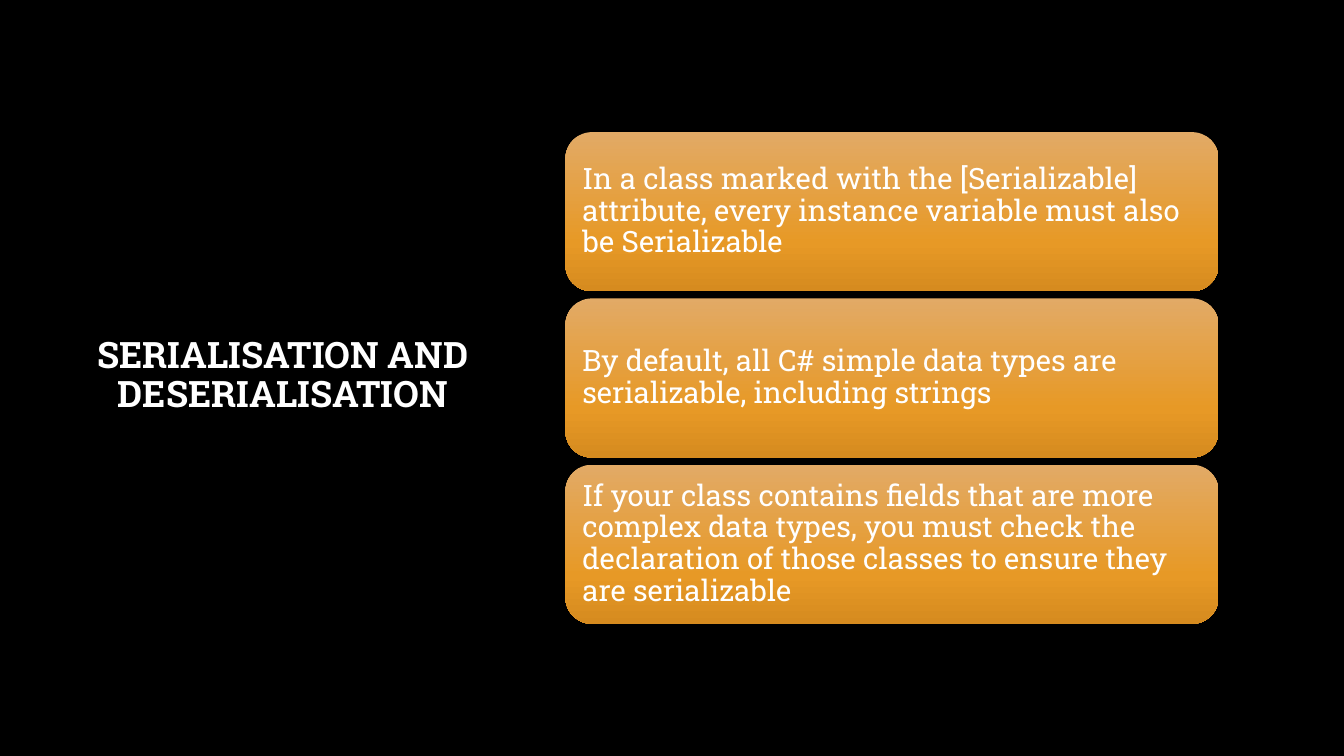
import copy

import pptx
import pptx.dml.color
import pptx.enum.shapes
import pptx.enum.text
import pptx.oxml.ns
import pptx.util

Cm = pptx.util.Cm
COLORS = {
    "background": "000000",
    "text": "FFFFFF",
    "card_top": "E2AA66",
    "card_middle": "E79926",
    "card_bottom": "D68B1F",
}
CARD_GRADIENT = [(0, "card_top"), (0.69, "card_middle"), (1, "card_bottom")]
TITLE = "SERIALISATION AND DESERIALISATION"
RULES = [
    "In a class marked with the [Serializable] attribute, "
    "every instance variable must also be Serializable",
    "By default, all C# simple data types are serializable, including strings",
    "If your class contains fields that are more complex data types, you must check "
    "the declaration of those classes to ensure they are serializable",
]
CARD_LEFT, CARD_TOP, CARD_WIDTH, CARD_HEIGHT = 14.25, 3.33, 16.46, 4.01
CARD_PITCH = 4.19


def color(name):
    return pptx.dml.color.RGBColor.from_string(COLORS[name])


class SlideBuilder:
    font_name = "Roboto Slab"
    line_spacing = 0.9
    inset = Cm(0.23)

    def __init__(self, presentation):
        self.slide = presentation.slides.add_slide(presentation.slide_layouts[6])
        background = self.slide.background.fill
        background.solid()
        background.fore_color.rgb = color("background")

    def set_text(self, shape, text, size, alignment, bold=False):
        frame = shape.text_frame
        frame_format = {
            "word_wrap": True,
            "vertical_anchor": pptx.enum.text.MSO_ANCHOR.MIDDLE,
            "margin_left": self.inset,
            "margin_top": self.inset,
            "margin_right": self.inset,
            "margin_bottom": self.inset,
        }
        paragraph = frame.paragraphs[0]
        paragraph.text = text
        paragraph_format = {"alignment": alignment, "line_spacing": self.line_spacing}
        font = paragraph.runs[0].font
        font_format = {"name": self.font_name, "size": pptx.util.Pt(size), "bold": bold}
        for target, values in (
            (frame, frame_format),
            (paragraph, paragraph_format),
            (font, font_format),
        ):
            for name, value in values.items():
                setattr(target, name, value)
        font.color.rgb = color("text")

    def title(self, text, left, top, width, height):
        shape = self.slide.shapes.add_textbox(Cm(left), Cm(top), Cm(width), Cm(height))
        self.set_text(shape, text, 26, pptx.enum.text.PP_ALIGN.CENTER, bold=True)

    def card(self, text, left, top, width, height):
        shape = self.slide.shapes.add_shape(
            pptx.enum.shapes.MSO_SHAPE.ROUNDED_RECTANGLE,
            Cm(left), Cm(top), Cm(width), Cm(height),
        )
        shape.shadow.inherit = False
        shape.line.fill.background()
        self.fill_downwards(shape, CARD_GRADIENT)
        self.set_text(shape, text, 21, pptx.enum.text.PP_ALIGN.LEFT)

    def fill_downwards(self, shape, gradient):
        """Fill with a three-stop gradient running from top to bottom."""
        shape.fill.gradient()
        shape.fill.gradient_angle = 270
        stop_list = shape._element.spPr.find(".//" + pptx.oxml.ns.qn("a:gsLst"))
        stop_list.append(copy.deepcopy(stop_list[-1]))
        for stop, (position, name) in zip(shape.fill.gradient_stops, gradient):
            stop.position = position
            stop.color.rgb = color(name)


def main():
    presentation = pptx.Presentation()
    presentation.slide_width = Cm(33.87)
    presentation.slide_height = Cm(19.05)
    builder = SlideBuilder(presentation)
    builder.title(TITLE, 2.08, 1.7, 10.11, 15.57)
    for index, rule in enumerate(RULES):
        top = CARD_TOP + index * CARD_PITCH
        builder.card(rule, CARD_LEFT, top, CARD_WIDTH, CARD_HEIGHT)
    presentation.save("out.pptx")


if __name__ == "__main__":
    main()
